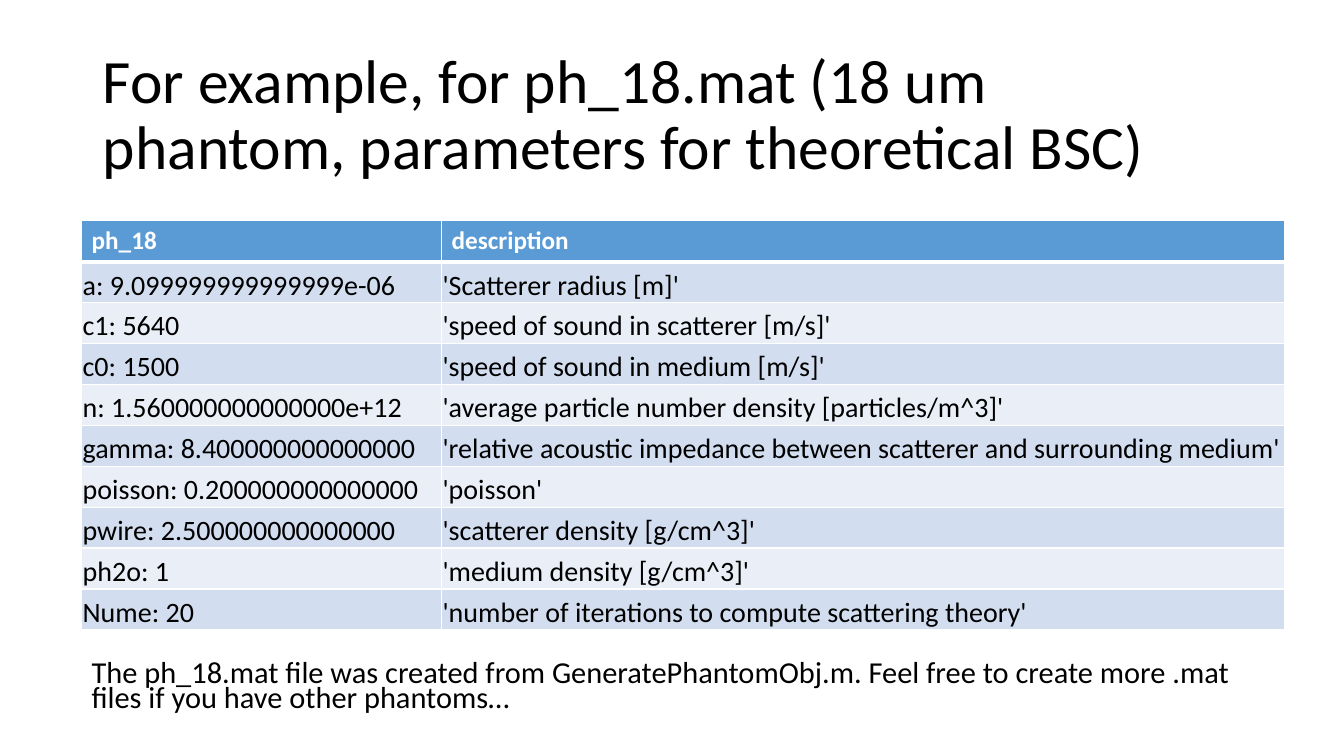
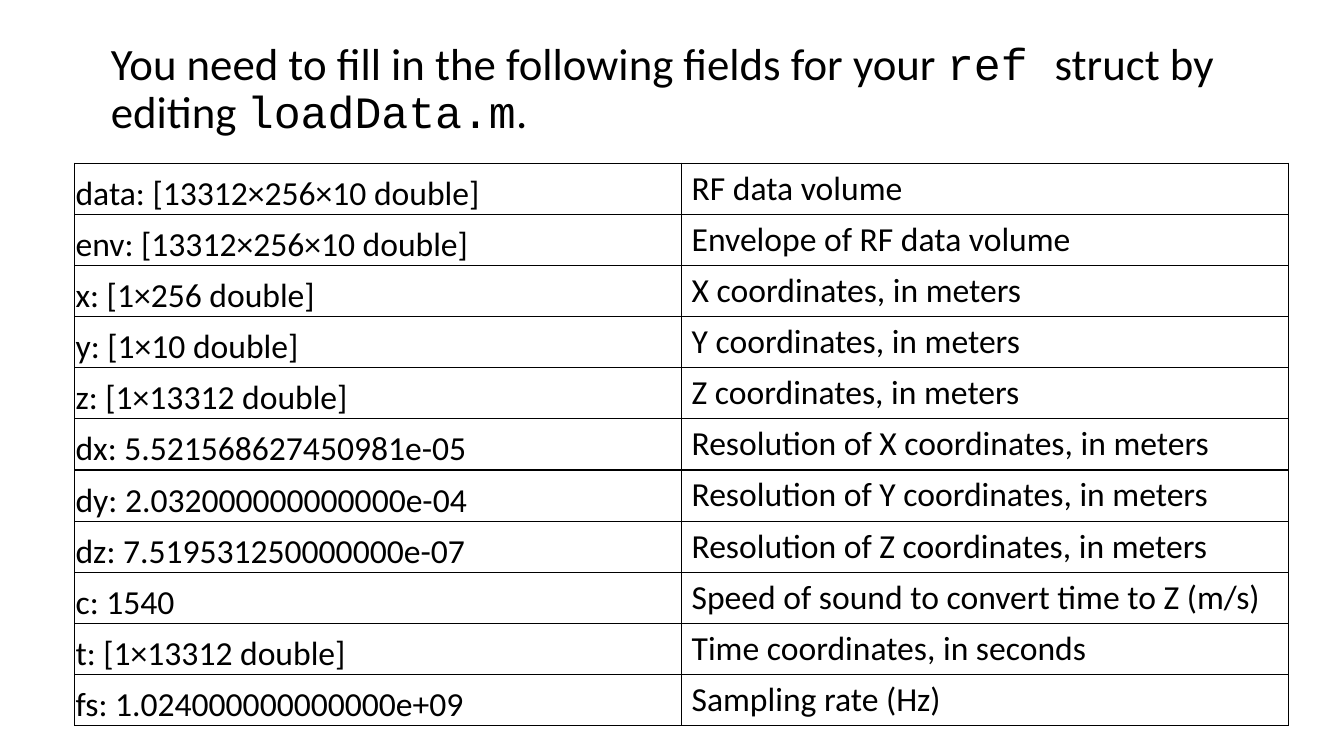
from lxml.etree import SubElement
from pptx import Presentation
from pptx.dml.color import RGBColor
from pptx.enum.text import MSO_ANCHOR as Anchor, MSO_AUTO_SIZE as Auto, PP_ALIGN as Align
from pptx.oxml.ns import qn
from pptx.util import Emu, Pt

# Content
TITLE_1 = [("For example, for ph_18.mat (18 um phantom, parameters for theoretical BSC)", "Calibri")]
HEAD = ("ph_18", "description")
PHANTOM = [
    ("a: 9.099999999999999e-06", "'Scatterer radius [m]'"),
    ("c1: 5640", "'speed of sound in scatterer [m/s]'"),
    ("c0: 1500", "'speed of sound in medium [m/s]'"),
    ("n: 1.560000000000000e+12", "'average particle number density [particles/m^3]'"),
    ("gamma: 8.400000000000000",
     "'relative acoustic impedance between scatterer and surrounding medium'"),
    ("poisson: 0.200000000000000", "'poisson'"),
    ("pwire: 2.500000000000000", "'scatterer density [g/cm^3]'"),
    ("ph2o: 1", "'medium density [g/cm^3]'"),
    ("Nume: 20", "'number of iterations to compute scattering theory'"),
]
NOTE = ("The ph_18.mat file was created from GeneratePhantomObj.m. "
        "Feel free to create more .mat files if you have other phantoms…")
TITLE_2 = [
    ("You need to fill in the following fields for your ", "Calibri"),
    ("ref ", "Courier New"),
    ("struct by editing ", "Calibri"),
    ("loadData.m", "Courier New"),
    (".", "Calibri"),
]
FIELDS = [
    ("data: [13312×256×10 double]", "RF data volume"),
    ("env: [13312×256×10 double]", "Envelope of RF data volume"),
    ("x: [1×256 double]", "X coordinates, in meters"),
    ("y: [1×10 double]", "Y coordinates, in meters"),
    ("z: [1×13312 double]", "Z coordinates, in meters"),
    ("dx: 5.521568627450981e-05", "Resolution of X coordinates, in meters"),
    ("dy: 2.032000000000000e-04", "Resolution of Y coordinates, in meters"),
    ("dz: 7.519531250000000e-07", "Resolution of Z coordinates, in meters"),
    ("c: 1540", "Speed of sound to convert time to Z (m/s)"),
    ("t: [1×13312 double]", "Time coordinates, in seconds"),
    ("fs: 1.024000000000000e+09", "Sampling rate (Hz)"),
]

# Shared look
BLACK, WHITE, BLUE = "000000", "FFFFFF", "5B9BD5"
BANDS = ("D2DEEF", "EAEFF7")


def px(n):
    """100 px to the inch."""
    return Emu(round(n * 9144))


def rgb(code):
    return RGBColor.from_string(code)


def add_run(para, text, size, font="Calibri", color=BLACK, bold=False):
    run = para.add_run()
    run.text = text
    run.font.size, run.font.name, run.font.bold = Pt(size), font, bold
    run.font.color.rgb = rgb(color)


def add_title(deck, runs, left, top, size):
    slide = deck.slides.add_slide(deck.slide_layouts[5])
    title = slide.shapes.title
    title.left, title.top, title.width, title.height = map(px, (left, top, 1150, 145))
    frame = title.text_frame
    frame.auto_size, frame.vertical_anchor = Auto.NONE, Anchor.MIDDLE
    para = frame.paragraphs[0]
    para.alignment, para.line_spacing = Align.LEFT, 0.9
    for text, font in runs:
        add_run(para, text, size, font)
    return slide


def add_grid(slide, left, top, widths, height, count):
    shape = slide.shapes.add_table(count, len(widths), px(left), px(top),
                                   px(sum(widths)), px(height))
    table = shape.table
    table.first_row = table.horz_banding = False
    for col, width in zip(table.columns, widths):
        col.width = px(width)
    for row in table.rows:
        row.height = px(height / count)
    return table


def set_cell(cell, text, size, edge, fill=None, color=BLACK, bold=False,
             tight=False, top=1, base=1):
    # Borders go in before the fill
    props = cell._tc.get_or_add_tcPr()
    for side, width in (("L", 1), ("R", 1), ("T", top), ("B", base)):
        line = SubElement(props, qn(f"a:ln{side}"), w=str(Pt(width)))
        solid = SubElement(line, qn("a:solidFill"))
        SubElement(solid, qn("a:srgbClr"), val=edge)
    if fill:
        cell.fill.solid()
        cell.fill.fore_color.rgb = rgb(fill)
    else:
        cell.fill.background()
    if tight:
        cell.vertical_anchor = Anchor.BOTTOM
        cell.margin_left = cell.margin_right = cell.margin_top = px(1)
        cell.margin_bottom = 0
    add_run(cell.text_frame.paragraphs[0], text, size, color=color, bold=bold)


def add_phantom(deck):
    slide = add_title(deck, TITLE_1, 92, 43, 44)
    table = add_grid(slide, 81, 219, (357, 836), 406, len(PHANTOM) + 1)
    for c, text in enumerate(HEAD):
        set_cell(table.cell(0, c), text, 18, WHITE, BLUE, WHITE, bold=True, base=3)
    for r, row in enumerate(PHANTOM):
        for c, text in enumerate(row):
            set_cell(table.cell(r + 1, c), text, 20, WHITE, BANDS[r % 2],
                     tight=True, top=1 if r else 3)
    # Note under the table
    frame = slide.shapes.add_textbox(px(81), px(651), px(1193), px(64)).text_frame
    frame.word_wrap, frame.vertical_anchor = True, Anchor.MIDDLE
    para = frame.paragraphs[0]
    para.line_spacing = 0.7
    add_run(para, NOTE, 21.7)


def add_fields(deck):
    slide = add_title(deck, TITLE_2, 100, 17, 32)
    table = add_grid(slide, 74, 162, (602, 602), 550, len(FIELDS))
    for r, row in enumerate(FIELDS):
        for c, text in enumerate(row):
            set_cell(table.cell(r, c), text, 24, BLACK, tight=c == 0)


def main():
    deck = Presentation()
    deck.slide_width, deck.slide_height = px(1333), px(750)
    add_phantom(deck)
    add_fields(deck)
    deck.save("out.pptx")


if __name__ == "__main__":
    main()
